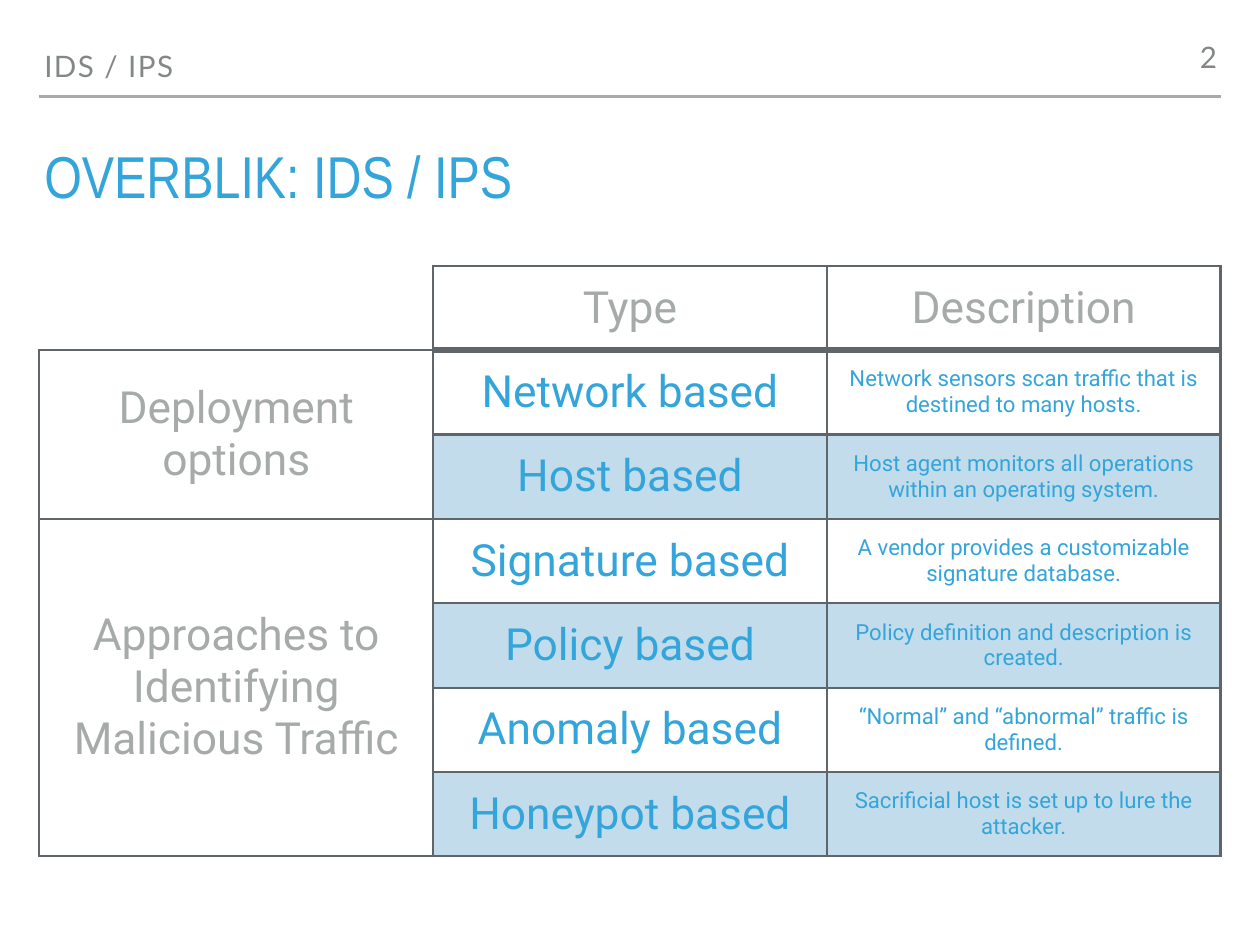
from lxml import etree
from pptx import Presentation
from pptx.dml.color import RGBColor
from pptx.enum.shapes import MSO_CONNECTOR
from pptx.enum.text import MSO_ANCHOR, PP_ALIGN
from pptx.oxml.ns import qn
from pptx.util import Emu, Pt

STRAIGHT = MSO_CONNECTOR.STRAIGHT
TOP, MIDDLE, BOTTOM = MSO_ANCHOR.TOP, MSO_ANCHOR.MIDDLE, MSO_ANCHOR.BOTTOM
LEFT, CENTER, RIGHT = PP_ALIGN.LEFT, PP_ALIGN.CENTER, PP_ALIGN.RIGHT

BLUE = RGBColor(0x34, 0xA5, 0xDA)
BAND = RGBColor(0x2E, 0x87, 0xBB)
GREY = RGBColor(0xA6, 0xAA, 0xA9)
DARK_GREY = RGBColor(0x83, 0x87, 0x87)
BORDER = RGBColor(0x5F, 0x65, 0x68)

EMU_PER_PX = 10160
INSET = 5
THIN, THICK = 2, 5
BAND_OPACITY = 29

ROWS = [
    ("", "Type", "Description"),
    ("Deployment options", "Network based",
     "Network sensors scan traffic that is destined to many hosts."),
    ("", "Host based",
     "Host agent monitors all operations within an operating system."),
    ("Approaches to Identifying Malicious Traffic", "Signature based",
     "A vendor provides a customizable signature database."),
    ("", "Policy based", "Policy definition and description is created."),
    ("", "Anomaly based", "“Normal” and “abnormal” traffic is defined."),
    ("", "Honeypot based", "Sacrificial host is set up to lure the attacker."),
]
GROUPS = [(1, 2), (3, 6)]


def px(length):
    """Turn whole pixels into EMU."""
    return Emu(length * EMU_PER_PX)


def format_text(frame, text, font, size, color, align):
    """Fill a text frame with one formatted paragraph."""
    frame.text = text
    para = frame.paragraphs[0]
    para.alignment = align
    for span in para.runs:
        span.font.name = font
        span.font.size = Pt(size)
        span.font.color.rgb = color
    return para


def set_insets(target):
    """Give a text frame or table cell the common inner margins."""
    target.margin_left = target.margin_right = px(INSET)
    target.margin_top = target.margin_bottom = px(INSET)


def add_text(page, bounds, text, font, size, color, align=LEFT, anchor=TOP, wrap=True):
    """Add a text box with tight line spacing."""
    box = page.shapes.add_textbox(*map(px, bounds))
    frame = box.text_frame
    frame.word_wrap = wrap
    frame.vertical_anchor = anchor
    set_insets(frame)
    para = format_text(frame, text, font, size, color, align)
    para.line_spacing = 0.8
    return box


def track_letters(box, points):
    """Widen the letter spacing of a text box."""
    for properties in box.element.iter(qn("a:rPr")):
        properties.set("spc", str(round(points * 100)))


def add_rule(page, left, right, top):
    """Add the horizontal line below the header."""
    rule = page.shapes.add_connector(STRAIGHT, px(left), px(top), px(right), px(top))
    rule.line.color.rgb = GREY
    rule.line.width = Pt(THIN)
    etree.SubElement(rule.element.spPr, qn("a:effectLst"))


def set_border(cell, side, width):
    """Draw one side of a cell, or hide it when the width is zero."""
    edge = etree.SubElement(cell._tc.get_or_add_tcPr(), qn(f"a:ln{side}"), w=str(Pt(width)))
    if width:
        fill = etree.SubElement(edge, qn("a:solidFill"))
        etree.SubElement(fill, qn("a:srgbClr"), val=str(BORDER))
    else:
        etree.SubElement(edge, qn("a:noFill"))


def border_widths(row, column):
    """Return the left, right, top and bottom border widths of a cell."""
    if (row, column) == (0, 0):
        return 0, THIN, 0, THIN
    top = THICK if row == 1 and column else THIN
    bottom = THICK if row == 0 else THIN
    return THIN, THIN, top, bottom


def fill_cell(cell, banded):
    """Give a cell the translucent band colour or no fill."""
    if not banded:
        cell.fill.background()
        return
    cell.fill.solid()
    cell.fill.fore_color.rgb = BAND
    for color in cell._tc.tcPr.iterfind(f"{qn('a:solidFill')}/{qn('a:srgbClr')}"):
        etree.SubElement(color, qn("a:alpha"), val=str(BAND_OPACITY * 1000))


def format_cell(cell, row, column, text):
    """Write and style one table cell."""
    heading = row == 0 or column == 0
    size = 18 if column == 2 and not heading else 36
    format_text(cell.text_frame, text, "Roboto", size, GREY if heading else BLUE, CENTER)
    cell.vertical_anchor = MIDDLE
    set_insets(cell)
    for side, width in zip("LRTB", border_widths(row, column)):
        set_border(cell, side, width)
    fill_cell(cell, not heading and row % 2 == 0)


def add_overview(page, bounds):
    """Add the table of deployment options and approaches."""
    table = page.shapes.add_table(len(ROWS), len(ROWS[0]), *map(px, bounds)).table
    table.first_row = False
    table.horz_banding = False
    for row, texts in enumerate(ROWS):
        for column, text in enumerate(texts):
            format_cell(table.cell(row, column), row, column, text)
    for first, last in GROUPS:
        table.cell(first, 0).merge(table.cell(last, 0))


def main():
    """Build and save the slide."""
    deck = Presentation()
    deck.slide_width, deck.slide_height = px(1280), px(960)
    page = deck.slides.add_slide(deck.slide_layouts[6])
    add_rule(page, 40, 1240, 98)
    add_text(page, (40, 151, 1200, 71), "OVERBLIK: IDS / IPS", "Arial Narrow", 48, BLUE)
    header = add_text(page, (40, 45, 1100, 45), "IDS / IPS", "Lato", 24, DARK_GREY, anchor=BOTTOM)
    track_letters(header, 1.2)
    add_text(page, (1214, 42, 25, 45), "2", "Lato", 24, DARK_GREY, align=RIGHT, wrap=False)
    add_overview(page, (40, 270, 1200, 600))
    deck.save("out.pptx")


if __name__ == "__main__":
    main()
